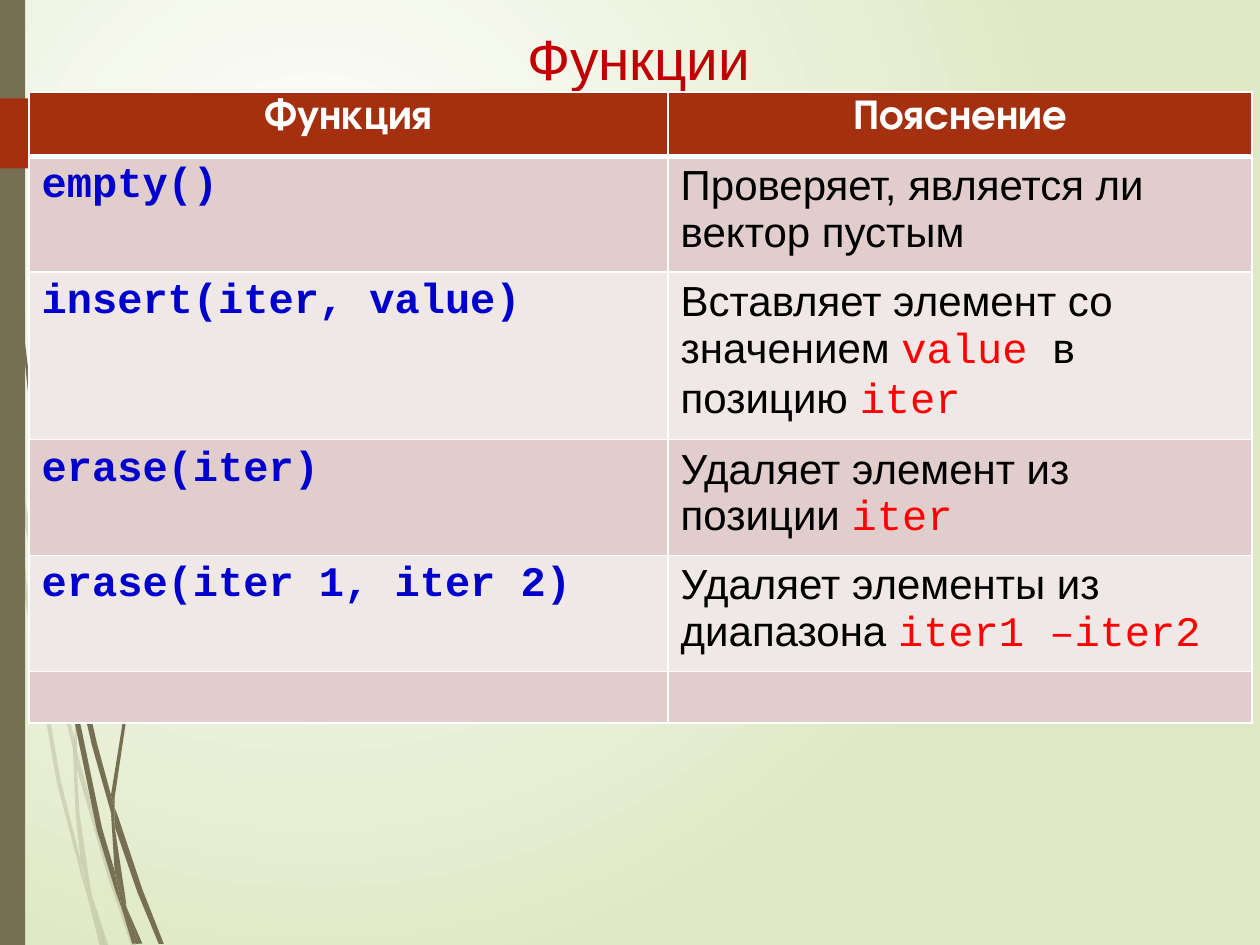
from dataclasses import dataclass

from lxml.etree import SubElement
from pptx import Presentation
from pptx.dml.color import RGBColor as Rgb
from pptx.enum.shapes import MSO_SHAPE as Shape
from pptx.enum.text import MSO_ANCHOR as Anchor, PP_ALIGN as Align
from pptx.oxml.ns import qn
from pptx.util import Pt


@dataclass(frozen=True)
class Theme:
    olive: str = "766F54"
    rust: str = "A53010"
    white: str = "FFFFFF"
    pale_green: str = "DFE8C4"
    title_red: str = "C00000"
    code_blue: str = "0000CC"
    code_red: str = "FF0000"
    black: str = "000000"
    bands: tuple = ("E1CDCC", "F0E8E7")
    title_size: float = 32.4
    table_size: float = 24
    sans: str = "Arial"
    mono: str = "Courier New"
    heading: str = "TeX Gyre Adventor"


THEME = Theme()
WORD = (THEME.sans, THEME.black, False)
TERM = (THEME.mono, THEME.code_red, False)
CODE = (THEME.mono, THEME.code_blue, True)
HEAD = (THEME.heading, THEME.white, True)
TITLE = (THEME.sans, THEME.title_red, False)

COLUMNS = (365.2, 333.6)
ROW_HEIGHTS = (36.7, 66.2, 95.8, 66.2, 66.2, 29.5)
ROWS = (
    ([("Функция", HEAD)], [("Пояснение", HEAD)]),
    ([("empty()", CODE)], [("Проверяет, является ли вектор пустым", WORD)]),
    ([("insert(iter, value)", CODE)],
     [("Вставляет элемент со значением ", WORD), ("value ", TERM),
      ("в позицию ", WORD), ("iter", TERM)]),
    ([("erase(iter)", CODE)],
     [("Удаляет элемент из позиции ", WORD), ("iter", TERM)]),
    ([("erase(iter 1, iter 2)", CODE)],
     [("Удаляет элементы из диапазона ", WORD), ("iter1 –iter2", TERM)]),
    ([], []),
)

FAINT_WISPS = (
    ((28.8, 375.8), (42.5, 431.3), (42.5, 421.9), (31, 374.4), (7.2, 248.4),
     (8.6, 270.7)),
    ((46.1, 437), (43.9, 429.1), (43.9, 439.2), (61.2, 499.7), (74.9, 540),
     (77.8, 540), (63.4, 498.2)),
    ((59.8, 540), (61.9, 540), (52.6, 511.9)),
    ((46.1, 491.8), (34.6, 445.7), (15.8, 337.7), (8.6, 270.7), (5.8, 252),
     (13.7, 338.4), (32.4, 447.1), (46.1, 499), (50.4, 514.1), (49.7, 509)),
    ((41.8, 431.3), (43.2, 465.1), (46.1, 491.8), (48.2, 498.2), (52.6, 511.9),
     (51.8, 508.3), (45.4, 465.1), (43.9, 439.2), (43.9, 437.8)),
    ((43.9, 420.5), (54.7, 332.6), (79.9, 251.3), (114.5, 176.4),
     (134.6, 142.6), (144.7, 126), (156.2, 110.9), (156.2, 110.2),
     (144.7, 126), (133.9, 141.8), (113.8, 175.7), (79.2, 250.6),
     (54, 331.9), (42.5, 420.5), (42.5, 421.9), (43.9, 429.1)),
    ((50.4, 514.1), (56.9, 540), (59, 540)),
    ((43.9, 437.8), (43.9, 439.2), (43.9, 429.1), (42.5, 421.9), (41.8, 431.3)),
    ((48.2, 498.2), (46.8, 491.8), (49.7, 509), (50.4, 514.1), (59, 540),
     (59.8, 540), (52.6, 511.9)),
)
SOLID_WISPS = (
    ((3.6, 79.2), (10.1, 167.8), (19.4, 255.6), (33.1, 343.4), (33.8, 346.3),
     (32.4, 329), (32.4, 326.2), (21.6, 255.6), (10.8, 167), (4.3, 78.5),
     (2.9, 34.6), (2.2, 0), (1.4, 0), (2.2, 34.6)),
    ((52.6, 426.2), (63.4, 464.4), (63.4, 455.8), (63.4, 454.3), (55.4, 424.8),
     (36, 339.8), (38.2, 363.6)),
    ((67.7, 467.3), (65.5, 461.5), (65.5, 472.3), (78.5, 509.8), (90.7, 539.3),
     (93.6, 539.3), (81.4, 508.3)),
    ((65.5, 497.5), (58.3, 473), (43.2, 400.3), (38.2, 363.6), (33.8, 343.4),
     (40.3, 401), (55.4, 474.5), (66.2, 509.8), (69.8, 519.8), (69.1, 516.2)),
    ((79.2, 539.3), (81.4, 539.3), (72, 517.7)),
    ((65.5, 455.8), (74.2, 397.4), (94.3, 342.7), (121.7, 292.3),
     (137.5, 269.3), (146.2, 258.5), (155.5, 247.7), (146.2, 257.8),
     (137.5, 268.6), (121, 291.6), (92.9, 341.3), (72.7, 396.7),
     (63.4, 454.3), (65.5, 461.5)),
    ((69.8, 519.8), (75.6, 539.3), (77.8, 539.3)),
    ((63.4, 464.4), (65.5, 497.5), (69.1, 508.3), (72, 517.7), (72, 515.5),
     (65.5, 472.3), (64.8, 468.7)),
    ((63.4, 464.4), (64.8, 468.7), (65.5, 472.3), (65.5, 461.5), (63.4, 454.3)),
    ((69.1, 508.3), (65.5, 497.5), (69.1, 516.2), (69.8, 519.8), (77.8, 539.3),
     (79.2, 539.3), (72, 517.7)),
)


def paint(shape, color, opacity=100):
    shape.shadow.inherit = False
    shape.fill.solid()
    shape.fill.fore_color.rgb = Rgb.from_string(color)
    shape.line.fill.background()
    if opacity < 100:
        tint = shape.element.spPr.find(".//" + qn("a:srgbClr"))
        SubElement(tint, qn("a:alpha"), val=str(opacity * 1000))


def add_background(page):
    fill = page.background.fill
    fill.gradient()
    for stop, color, position in zip(
            fill.gradient_stops, (THEME.white, THEME.pale_green), (0, 1)):
        stop.color.rgb = Rgb.from_string(color)
        stop.position = position
    gradient = page.element.find(".//" + qn("a:gradFill"))
    gradient.remove(gradient.find(qn("a:lin")))
    circle = SubElement(gradient, qn("a:path"), path="circle")
    SubElement(circle, qn("a:fillToRect"),
               l="50000", t="50000", r="100000", b="100000")


def add_wisp(page, points, opacity):
    start, *rest = [(Pt(x), Pt(y)) for x, y in points]
    builder = page.shapes.build_freeform(*start, scale=1.0)
    builder.add_line_segments(rest, close=True)
    paint(builder.convert_to_shape(), THEME.olive, opacity)


def add_block(page, kind, place, color):
    paint(page.shapes.add_shape(kind, *map(Pt, place)), color)


def write(para, spans, size, align=Align.LEFT):
    para.alignment = align
    for text, (face, color, bold) in spans:
        span = para.add_run()
        span.text = text
        span.font.name = face
        span.font.size = Pt(size)
        span.font.bold = bold
        span.font.color.rgb = Rgb.from_string(color)


def add_title(page, text):
    box = page.shapes.add_textbox(Pt(58.3), Pt(9.4), Pt(613.4), Pt(43.2))
    frame = box.text_frame
    frame.word_wrap = True
    frame.vertical_anchor = Anchor.BOTTOM
    frame.margin_bottom = Pt(0)
    write(frame.paragraphs[0], [(text, TITLE)], THEME.title_size, Align.CENTER)


def add_borders(cell, widths):
    properties = cell._tc.get_or_add_tcPr()
    for index, (side, width) in enumerate(widths.items()):
        line = SubElement(properties, qn(f"a:ln{side}"), w=str(Pt(width)))
        fill = SubElement(line, qn("a:solidFill"))
        SubElement(fill, qn("a:srgbClr"), val=THEME.white)
        properties.insert(index, line)


def add_function_table(page):
    frame = page.shapes.add_table(
        len(ROWS), len(COLUMNS), Pt(16.6), Pt(52.6),
        Pt(sum(COLUMNS)), Pt(sum(ROW_HEIGHTS)))
    table = frame.table
    for column, width in zip(table.columns, COLUMNS):
        column.width = Pt(width)
    for index, (row, height, texts) in enumerate(
            zip(table.rows, ROW_HEIGHTS, ROWS)):
        row.height = Pt(height)
        header = index == 0
        color = THEME.rust if header else THEME.bands[(index - 1) % 2]
        widths = {"L": 1, "R": 1, "T": 3 if index == 1 else 1,
                  "B": 3 if header else 1}
        for cell, spans in zip(row.cells, texts):
            cell.fill.solid()
            cell.fill.fore_color.rgb = Rgb.from_string(color)
            add_borders(cell, widths)
            write(cell.text_frame.paragraphs[0], spans, THEME.table_size,
                  Align.CENTER if header else Align.LEFT)


def main():
    deck = Presentation()
    deck.slide_width, deck.slide_height = Pt(720), Pt(540)
    page = deck.slides.add_slide(deck.slide_layouts[6])
    add_background(page)
    for wisps, opacity in ((FAINT_WISPS, 20), (SOLID_WISPS, 100)):
        for points in wisps:
            add_wisp(page, points, opacity)
    add_block(page, Shape.RECTANGLE, (0, 0, 14.4, 540), THEME.olive)
    add_block(page, Shape.PENTAGON, (0, 56.2, 107.3, 40), THEME.rust)
    add_title(page, "Функции")
    add_function_table(page)
    deck.save("out.pptx")


if __name__ == "__main__":
    main()
